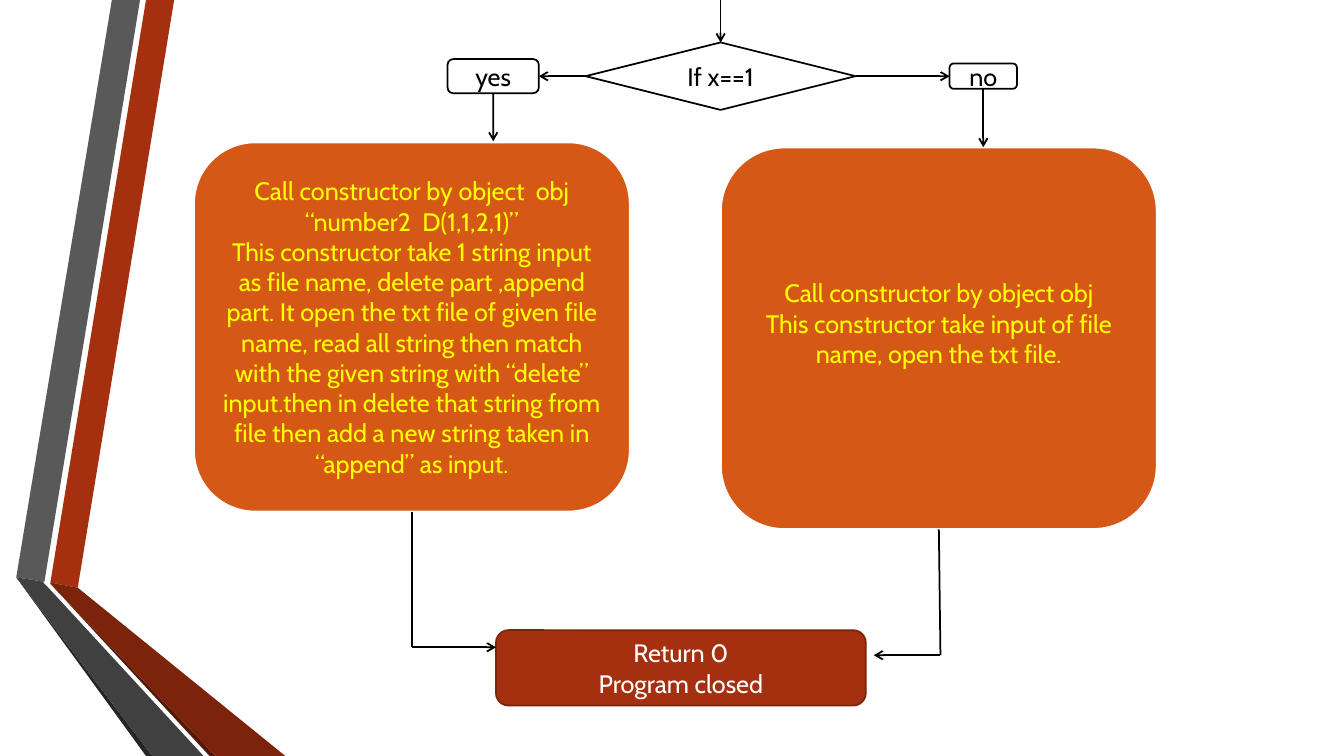
from dataclasses import dataclass

from lxml.etree import SubElement
from pptx import Presentation
from pptx.dml.color import RGBColor
from pptx.enum.shapes import MSO_CONNECTOR, MSO_SHAPE
from pptx.enum.text import MSO_ANCHOR, PP_ALIGN
from pptx.oxml.ns import qn
from pptx.util import Cm, Pt


@dataclass(frozen=True)
class Theme:
    font: str = "Cabin"
    text_size: float = 18
    thin_line: float = 1.25
    thick_line: float = 1.75
    white: str = "FFFFFF"
    black: str = "000000"
    yellow: str = "FFFF00"
    orange: str = "D55816"
    red: str = "A5300F"
    red_line: str = "7A240B"
    red_shade: str = "7C240B"
    red_deep: str = "521808"
    grey: str = "595959"
    grey_shade: str = "404040"
    grey_deep: str = "262626"


theme = Theme()
TOP, LEFT, BOTTOM, RIGHT = range(4)

presentation = Presentation()
presentation.slide_width, presentation.slide_height = Cm(33.87), Cm(19.05)
slide = presentation.slides.add_slide(presentation.slide_layouts[6])


def add_node(kind, box, fill, line, line_width, text_color, text):
    shape = slide.shapes.add_shape(kind, *map(Cm, box))
    shape.shadow.inherit = False
    shape.fill.solid()
    shape.fill.fore_color.rgb = RGBColor.from_string(fill)
    shape.line.color.rgb = RGBColor.from_string(line)
    shape.line.width = Pt(line_width)
    text_frame = shape.text_frame
    text_frame.text = text
    text_frame.word_wrap = True
    text_frame.vertical_anchor = MSO_ANCHOR.MIDDLE
    for paragraph in text_frame.paragraphs:
        paragraph.alignment = PP_ALIGN.CENTER
        for run in paragraph.runs:
            run.font.name = theme.font
            run.font.size = Pt(theme.text_size)
            run.font.color.rgb = RGBColor.from_string(text_color)
    return shape


def add_line(start, end, begin=None, finish=None, arrow=True):
    """Draw a line from start to end; begin and finish are (shape, side) joints."""
    connector = slide.shapes.add_connector(
        MSO_CONNECTOR.STRAIGHT, *map(Cm, start + end))
    if begin:
        connector.begin_connect(*begin)
    if finish:
        connector.end_connect(*finish)
    connector.line.color.rgb = RGBColor.from_string(theme.black)
    connector.line.width = Pt(theme.thin_line)
    properties = connector.element.spPr
    if arrow:
        SubElement(properties.find(qn("a:ln")), qn("a:tailEnd"), type="arrow")
    SubElement(properties, qn("a:effectLst"))


# Folded ribbons along the left edge
ribbons = [
    (theme.red, [(1.27, 14.68), (1.96, 14.81), (4.39, 0), (3.68, 0)]),
    (theme.grey, [(3.53, 0), (2.82, 0), (0.41, 14.55), (1.12, 14.66)]),
    (theme.grey_deep, [(0.41, 14.55), (3.68, 19.05), (3.84, 19.05)]),
    (theme.red_deep, [(1.27, 14.71), (5.28, 19.05), (5.44, 19.05)]),
    (theme.red_shade, [(1.27, 14.71), (5.44, 19.05), (7.19, 19.05),
                       (1.96, 14.81), (1.27, 14.68)]),
    (theme.grey_shade, [(5.13, 19.05), (1.22, 14.81), (1.09, 14.68),
                        (1.12, 14.66), (0.41, 14.55), (3.84, 19.05)]),
]
for color, corners in ribbons:
    points = [(Cm(x), Cm(y)) for x, y in corners]
    builder = slide.shapes.build_freeform(*points[0])
    builder.add_line_segments(points[1:], close=True)
    ribbon = builder.convert_to_shape()
    ribbon.shadow.inherit = False
    ribbon.fill.solid()
    ribbon.fill.fore_color.rgb = RGBColor.from_string(color)
    ribbon.line.fill.background()

# Flowchart steps
rounded = MSO_SHAPE.ROUNDED_RECTANGLE
outlined = (theme.white, theme.black, theme.thin_line, theme.black)
action = (theme.orange, theme.white, theme.thick_line, theme.yellow)
closing = (theme.red, theme.red_line, theme.thin_line, theme.white)

edit_file = add_node(
    rounded, (4.88, 3.58, 11, 9.32), *action,
    "Call constructor by object  obj\n"
    "“number2  D(1,1,2,1)”\n"
    "This constructor take 1 string input as file name, delete part ,append "
    "part. It open the txt file of given file name, read all string then match "
    "with the given string with “delete” input.then in delete that string from "
    "file then add a new string taken in “append” as input.")
open_file = add_node(
    rounded, (18.16, 3.71, 11, 9.63), *action,
    "Call constructor by object obj\n"
    "This constructor take input of file name, open the txt file.")
open_file.text_frame.margin_bottom = Cm(0.89)
decision = add_node(MSO_SHAPE.FLOWCHART_DECISION, (14.76, 1.07, 6.8, 1.7),
                    *outlined, "If x==1")
yes = add_node(rounded, (11.28, 1.49, 2.3, 0.86), *outlined, "yes")
no = add_node(rounded, (23.93, 1.6, 1.7, 0.64), *outlined, "no")
add_node(rounded, (12.5, 15.88, 9.32, 1.9), *closing, "Return 0\nProgram closed")

# Arrows
add_line((18.16, 0), (18.16, 1.07), finish=(decision, TOP))
add_line((14.76, 1.92), (13.58, 1.92), (decision, LEFT), (yes, RIGHT))
add_line((21.56, 1.92), (23.93, 1.92), (decision, RIGHT), (no, LEFT))
add_line((12.43, 2.35), (12.43, 3.56), (yes, BOTTOM))
add_line((24.78, 2.24), (24.78, 3.71), (no, BOTTOM))
for box, start, corner, end in [
    (edit_file, (10.38, 12.9), (10.38, 16.31), (12.5, 16.31)),
    (open_file, (23.66, 13.34), (23.7, 16.51), (22.02, 16.51)),
]:
    add_line(start, corner, (box, BOTTOM), arrow=False)
    add_line(corner, end)

presentation.save("out.pptx")
